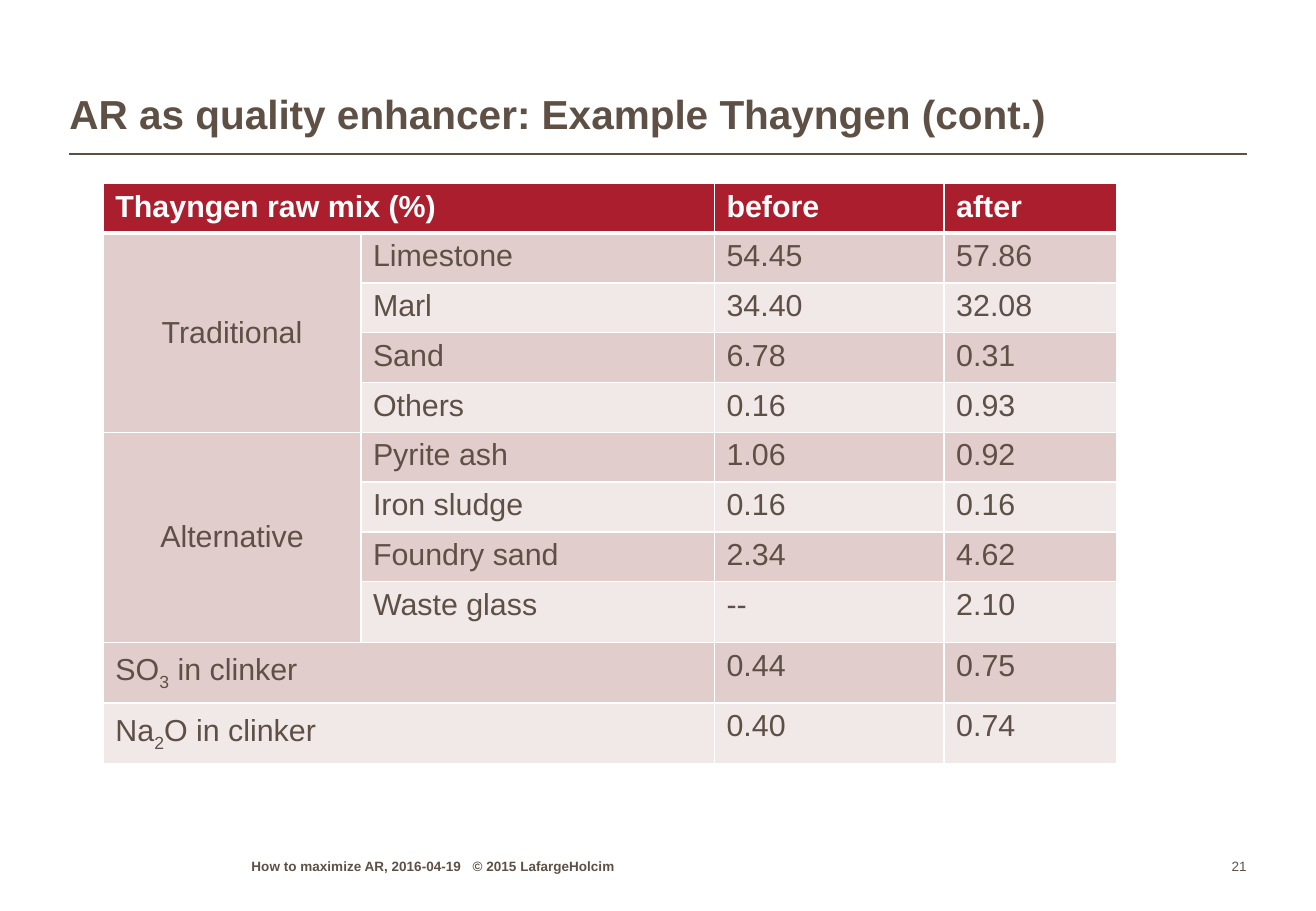
from dataclasses import dataclass

from lxml.etree import SubElement
from pptx import Presentation
from pptx.dml.color import RGBColor
from pptx.enum.shapes import MSO_CONNECTOR as Connector
from pptx.enum.text import MSO_ANCHOR as Anchor, PP_ALIGN as Align
from pptx.oxml.ns import qn
from pptx.util import Inches, Pt


@dataclass(frozen=True)
class Theme:
    """Colours, font and type sizes of the slide."""
    font: str = "Arial"
    brown: str = "5F5046"
    red: str = "AA1E2D"
    white: str = "FFFFFF"
    bands: tuple[str, str] = ("E2CDCD", "F1E8E8")
    title_size: int = 24
    table_size: int = 18
    footer_size: int = 8


@dataclass(frozen=True)
class Label:
    """A line of text in a box with no margins."""
    text: str
    box: tuple[float, float, float, float]
    size: int
    bold: bool = True
    wrap: bool = True
    align: Align = Align.LEFT
    spacing: float = 1.0
    tab: float = 0


@dataclass(frozen=True)
class Span:
    """A merged block of table cells."""
    row: int
    column: int
    last_row: int
    last_column: int


THEME = Theme()
LABELS = [
    Label("AR as quality enhancer: Example Thayngen (cont.)", (0.57, 0.21, 9.69, 0.93),
          THEME.title_size, spacing=0.95),
    Label("How to maximize AR, 2016-04-19\t© 2015 LafargeHolcim", (2.07, 7.02, 3.47, 0.18),
          THEME.footer_size, tab=1.82),
    Label("21", (9.79, 7.02, 0.47, 0.18), THEME.footer_size, bold=False, wrap=False,
          align=Align.RIGHT),
]
ROWS = [
    ("Thayngen raw mix (%)", "", "before", "after"),
    ("Traditional", "Limestone", "54.45", "57.86"),
    ("", "Marl", "34.40", "32.08"),
    ("", "Sand", "6.78", "0.31"),
    ("", "Others", "0.16", "0.93"),
    ("Alternative", "Pyrite ash", "1.06", "0.92"),
    ("", "Iron sludge", "0.16", "0.16"),
    ("", "Foundry sand", "2.34", "4.62"),
    ("", "Waste glass", "--", "2.10"),
    (("SO", "3", " in clinker"), "", "0.44", "0.75"),
    (("Na", "2", "O in clinker"), "", "0.40", "0.74"),
]
SPANS = [Span(0, 0, 0, 1), Span(1, 0, 4, 0), Span(5, 0, 8, 0), Span(9, 0, 9, 1), Span(10, 0, 10, 1)]
COLUMN_WIDTHS = [2.12, 2.91, 1.89, 1.42]
ROW_HEIGHTS = [0.41] * 8 + [0.5] * 3


def apply(target, formats: dict) -> None:
    """Set every attribute named in the formats."""
    for name, value in formats.items():
        setattr(target, name, value)


def style_font(font, size: int, color: str, bold: bool) -> None:
    """Give a font its face, size, weight and colour."""
    apply(font, {"name": THEME.font, "size": Pt(size), "bold": bold})
    font.color.rgb = RGBColor.from_string(color)


def draw_label(slide, label: Label) -> None:
    """Draw a bottom-anchored label."""
    frame = slide.shapes.add_textbox(*map(Inches, label.box)).text_frame
    apply(frame, {"margin_left": 0, "margin_top": 0, "margin_right": 0, "margin_bottom": 0,
                  "word_wrap": label.wrap, "vertical_anchor": Anchor.BOTTOM})
    paragraph = frame.paragraphs[0]
    apply(paragraph, {"alignment": label.align, "line_spacing": label.spacing})
    if label.tab:
        tabs = SubElement(paragraph._p.get_or_add_pPr(), qn("a:tabLst"))
        SubElement(tabs, qn("a:tab"), pos=str(Inches(label.tab)), algn="l")
    run = paragraph.add_run()
    run.text = label.text
    style_font(run.font, label.size, THEME.brown, label.bold)


def draw_rule(slide) -> None:
    """Draw the line under the title."""
    rule = slide.shapes.add_connector(Connector.STRAIGHT, *map(Inches, (0.57, 1.27, 10.26, 1.27)))
    rule.line.color.rgb = RGBColor.from_string(THEME.brown)
    rule.line.width = Pt(1)
    SubElement(rule._element.spPr, qn("a:effectLst"))


def set_borders(cell, row: int) -> None:
    """Give a cell white borders, heavier under the header."""
    properties = cell._tc.get_or_add_tcPr()
    widths = {"L": 1, "R": 1, "T": 3 if row == 1 else 1, "B": 3 if row == 0 else 1}
    for side, width in widths.items():
        border = SubElement(properties, qn(f"a:ln{side}"), w=str(Pt(width)))
        fill = SubElement(border, qn("a:solidFill"))
        SubElement(fill, qn("a:srgbClr"), val=THEME.white)


def fill_cell(cell, row: int, content: str | tuple[str, ...]) -> None:
    """Write and format one cell, with the middle part of a formula lowered."""
    header = row == 0
    set_borders(cell, row)
    cell.fill.solid()
    band = 0 if cell.is_merge_origin and cell.span_height > 1 else (row - 1) % 2
    cell.fill.fore_color.rgb = RGBColor.from_string(THEME.red if header else THEME.bands[band])
    paragraph = cell.text_frame.paragraphs[0]
    if cell.is_merge_origin and not header:
        cell.vertical_anchor = Anchor.MIDDLE
        paragraph.alignment = Align.CENTER if cell.span_height > 1 else Align.LEFT
    parts = (content,) if isinstance(content, str) else content
    for index, part in enumerate(parts):
        if part:
            run = paragraph.add_run()
            run.text = part
            style_font(run.font, THEME.table_size, THEME.white if header else THEME.brown, header)
            if index == 1:
                run._r.get_or_add_rPr().set("baseline", "-25000")


def draw_table(slide) -> None:
    """Draw the raw mix table."""
    size = (sum(COLUMN_WIDTHS), sum(ROW_HEIGHTS))
    table = slide.shapes.add_table(len(ROWS), len(COLUMN_WIDTHS),
                                   *map(Inches, (0.85, 1.51, *size))).table
    for column, width in zip(table.columns, COLUMN_WIDTHS):
        column.width = Inches(width)
    for table_row, height in zip(table.rows, ROW_HEIGHTS):
        table_row.height = Inches(height)
    for span in SPANS:
        table.cell(span.row, span.column).merge(table.cell(span.last_row, span.last_column))
    for row, contents in enumerate(ROWS):
        for column, content in enumerate(contents):
            fill_cell(table.cell(row, column), row, content)


def main() -> None:
    """Build and save the slide."""
    presentation = Presentation()
    apply(presentation, {"slide_width": Inches(10.83), "slide_height": Inches(7.5)})
    slide = presentation.slides.add_slide(presentation.slide_layouts[6])
    draw_rule(slide)
    draw_table(slide)
    for label in LABELS:
        draw_label(slide, label)
    presentation.save("out.pptx")


if __name__ == "__main__":
    main()
